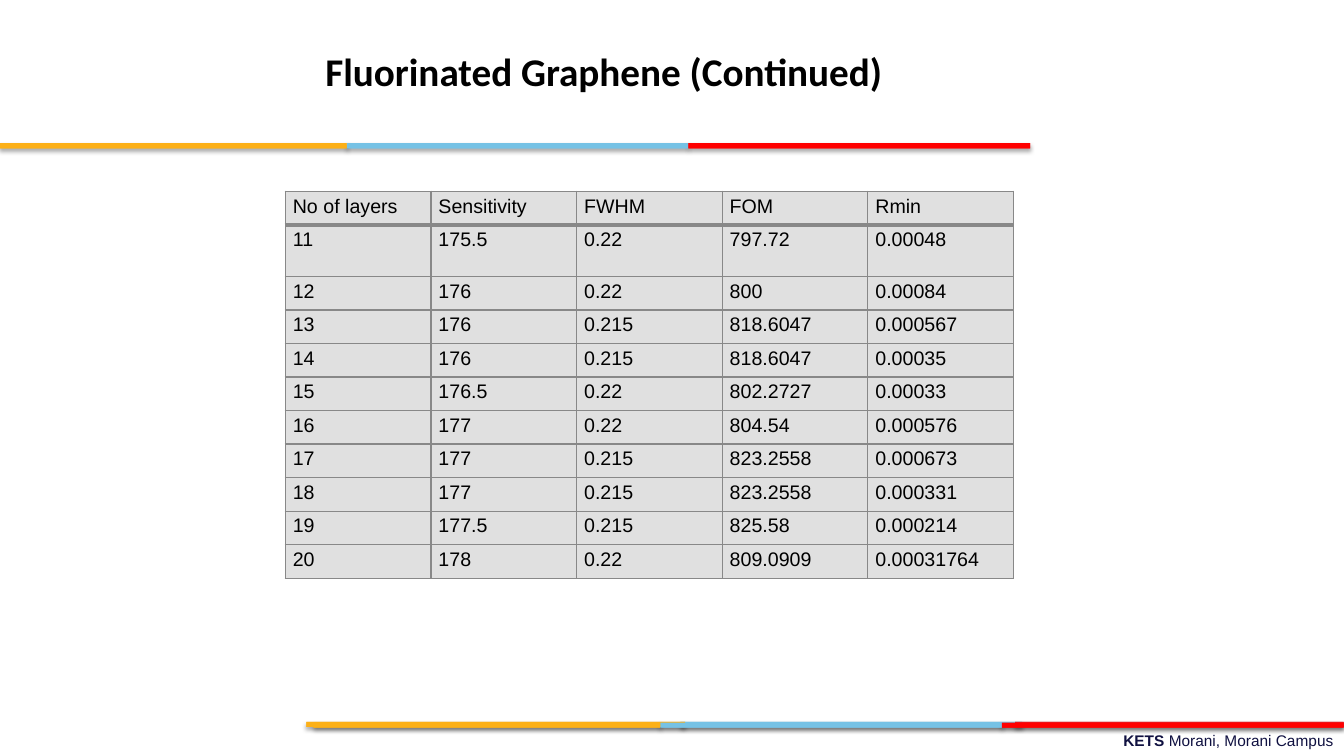
from lxml import etree
from pptx import Presentation
from pptx.dml.color import RGBColor
from pptx.enum import shapes, text
from pptx.oxml import parse_xml
from pptx.util import Cm, Pt

NS = "http://schemas.openxmlformats.org/drawingml/2006/main"
YELLOW, BLUE, RED, DARK_RED = "FCB017", "76C2E5", "FF0000", "E31C24"


def style_font(font, name, size, color, bold=False):
    font.name, font.size, font.bold = name, Pt(size), bold
    font.color.rgb = RGBColor.from_string(color)


def set_border(cell, side, color, width):
    line = parse_xml(
        f'<a:{side} xmlns:a="{NS}" w="{Pt(width)}"><a:solidFill>'
        f'<a:srgbClr val="{color}"/></a:solidFill></a:{side}>')
    # Borders come before the fill in the cell properties
    props = cell._tc.get_or_add_tcPr()
    props.insert(len(props.findall(f"{{{NS}}}*")), line)


prs = Presentation()
prs.slide_width, prs.slide_height = Cm(33.87), Cm(19.05)
slide = prs.slides.add_slide(prs.slide_layouts[6])

# Campus line at the bottom right
campus = slide.shapes.add_textbox(Cm(12.14), Cm(18.31), Cm(21.72), Cm(0.71)).text_frame
campus.word_wrap = True
campus_line = campus.paragraphs[0]
campus_line.alignment = text.PP_ALIGN.RIGHT
for words, bold in (("KETS ", True), ("Morani, Morani Campus", False)):
    run = campus_line.add_run()
    run.text = words
    style_font(run.font, "Arial", 11, "101141", bold)

# Three-colour strips: a shadowed layer under a plain one
footer_base = [(17.15, 18.19, 8.61, BLUE), (25.58, 18.19, 8.28, DARK_RED),
               (7.72, 18.19, 9.55, YELLOW)]
segments = [(8.74, 8.61, BLUE), (0, 8.74, YELLOW), (17.35, 8.61, RED)]
strips = footer_base + [
    (start + offset, top, width, color)
    for start, top in ((7.9, 18.21), (0, 3.61))
    for offset, width, color in segments]
for shadowed in (True, False):
    for left, top, width, color in strips:
        bar = slide.shapes.add_shape(
            shapes.MSO_SHAPE.RECTANGLE, Cm(left), Cm(top), Cm(width), Cm(0.13))
        bar.fill.solid()
        bar.fill.fore_color.rgb = RGBColor.from_string(color)
        bar.line.fill.background()
        bar.shadow.inherit = False
        if shadowed:
            effects = bar._element.spPr.find(f"{{{NS}}}effectLst")
            shadow = etree.SubElement(
                effects, f"{{{NS}}}outerShdw", blurRad=str(Pt(3.1)),
                dist=str(Pt(1.8)), dir="5400000", rotWithShape="0")
            black = etree.SubElement(shadow, f"{{{NS}}}srgbClr", val="000000")
            etree.SubElement(black, f"{{{NS}}}alpha", val="35000")

# Results table
results = [
    ("No of layers", "Sensitivity", "FWHM", "FOM", "Rmin"),
    ("11", "175.5", "0.22", "797.72", "0.00048"),
    ("12", "176", "0.22", "800", "0.00084"),
    ("13", "176", "0.215", "818.6047", "0.000567"),
    ("14", "176", "0.215", "818.6047", "0.00035"),
    ("15", "176.5", "0.22", "802.2727", "0.00033"),
    ("16", "177", "0.22", "804.54", "0.000576"),
    ("17", "177", "0.215", "823.2558", "0.000673"),
    ("18", "177", "0.215", "823.2558", "0.000331"),
    ("19", "177.5", "0.215", "825.58", "0.000214"),
    ("20", "178", "0.22", "809.0909", "0.00031764"),
]
table = slide.shapes.add_table(
    len(results), len(results[0]), Cm(7.19), Cm(4.82), Cm(18.35), Cm(9.75)).table
for column in table.columns:
    column.width = Cm(3.67)
for r, values in enumerate(results):
    table.rows[r].height = Cm(1.3 if r == 1 else 0.845)
    for c, value in enumerate(values):
        cell = table.cell(r, c)
        cell.text = value
        style_font(cell.text_frame.paragraphs[0].font, "Arial", 14, "000000")
        cell.margin_left = cell.margin_right = Cm(0.19)
        cell.margin_top = cell.margin_bottom = Cm(0.1)
        # A thick rule separates the header from the data
        for side, width in (("lnL", 1), ("lnR", 1), ("lnT", 3 if r == 1 else 1),
                            ("lnB", 3 if r == 0 else 1)):
            set_border(cell, side, "888888", width)
        cell.fill.solid()
        cell.fill.fore_color.rgb = RGBColor.from_string("E0E0E0")

# Title
title = slide.shapes.add_textbox(Cm(7.95), Cm(0.94), Cm(15.77), Cm(1.7)).text_frame
title.word_wrap = True
title.margin_top = title.margin_bottom = Cm(0.25)
title.text = "Fluorinated Graphene (Continued)"
style_font(title.paragraphs[0].font, "Calibri", 28, "000000", True)

prs.save("out.pptx")
